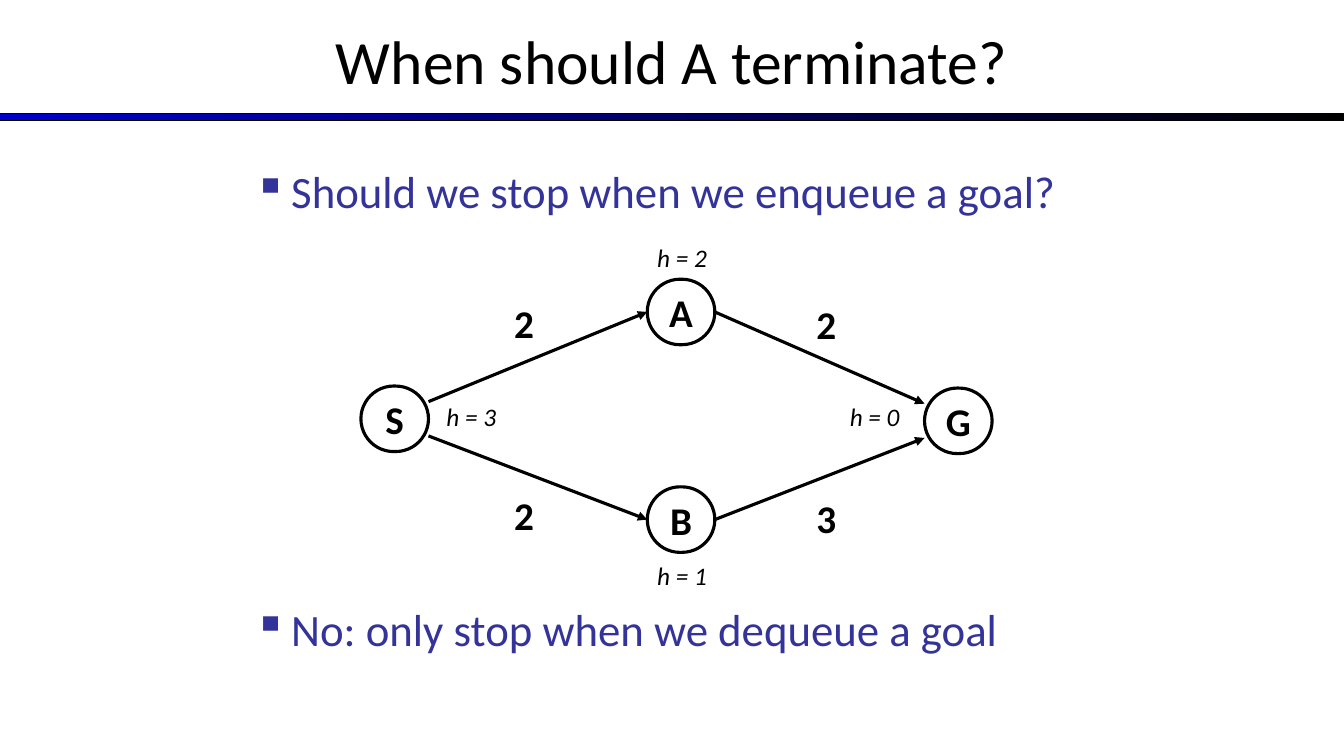
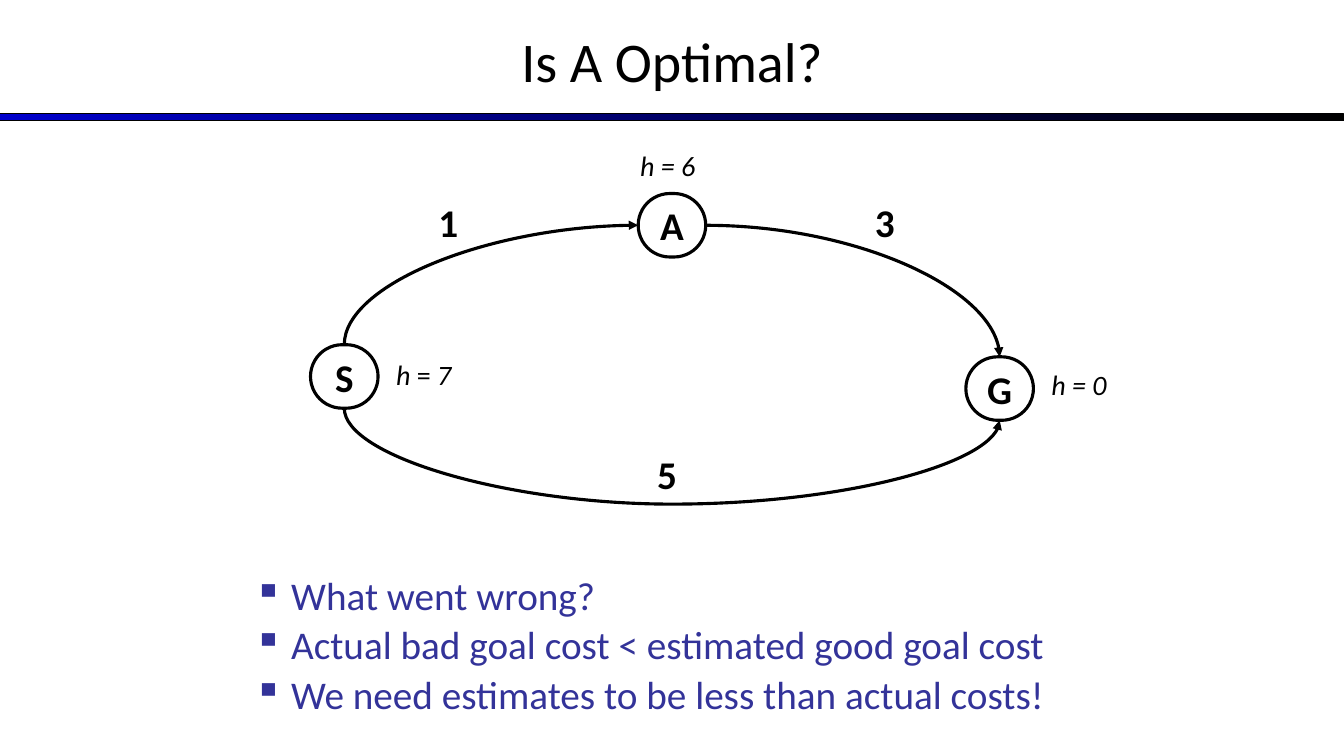
from dataclasses import dataclass

from lxml import etree
from pptx import Presentation
from pptx.dml.color import RGBColor
from pptx.enum import shapes, text
from pptx.oxml.ns import qn
from pptx.util import Inches, Pt


@dataclass(frozen=True)
class Theme:
    font: str = "Calibri"
    ink: str = "000000"
    bullet: str = "333399"
    band: str = "0000CC"
    node_size: int = 28
    cost_size: int = 28
    line: float = 2.25
    node_width: float = 0.67


THEME = Theme()
TOP, LEFT, BOTTOM, RIGHT = range(4)  # connection sites of a node
PORT_SHIFT = 0.17  # straight edges meet S and G this far from the middle

TERMINATE = {
    "title": ("When should A terminate?", 44),
    "bullets": {
        "at": (2.42, 1.58, 10.64, 5.0), "size": 32, "gap": 274,
        "lines": ["Should we stop when we enqueue a goal?",
                  "No: only stop when we dequeue a goal"],
    },
    "node_height": 0.65,
    "nodes": {"S": (3.58, 3.83), "B": (6.42, 4.83),
              "A": (6.42, 2.77), "G": (9.17, 3.85)},
    # from, to, shift at start, shift at end
    "straight": [("S", "A", -PORT_SHIFT, 0), ("A", "G", 0, -PORT_SHIFT),
                 ("S", "B", PORT_SHIFT, 0), ("B", "G", 0, PORT_SHIFT)],
    "costs": [("2", 5, 2.92), ("2", 8, 2.93), ("2", 5, 4.83), ("3", 8, 4.85)],
    "estimate_size": 18,
    "estimates": [("h = 1", 6.42, 5.51), ("h = 2", 6.42, 2.35),
                  ("h = 0", 8.33, 3.93), ("h = 3", 4.33, 3.93)],
}

OPTIMAL = {
    "title": ("Is A Optimal?", 40),
    "bullets": {
        "at": (2.42, 5.67, 10.47, 1.6), "size": 28, "gap": 5, "spacing": 0.9,
        "lines": ["What went wrong?",
                  "Actual bad goal cost < estimated good goal cost",
                  "We need estimates to be less than actual costs!"],
    },
    "node_height": 0.63,
    "nodes": {"A": (6.33, 1.92), "G": (9.58, 3.54), "S": (3.08, 3.42)},
    # from, site, to, site, preset, turn, flips, bend
    "curved": [
        ("S", BOTTOM, "G", BOTTOM, "curvedConnector3", 270, "H", 792300),
        ("S", TOP, "A", LEFT, "curvedConnector2", 90, "HV", None),
        ("A", RIGHT, "G", TOP, "curvedConnector2", 0, "", None),
    ],
    "costs": [("1", 4.25, 1.92), ("3", 8.58, 1.92), ("5", 6.42, 4.42)],
    "estimate_size": 20,
    "estimates": [("h = 6", 6.25, 1.42), ("h = 0", 10.33, 3.6),
                  ([("h", True), (" = ", False), ("7", True)], 3.83, 3.5)],
}


def color(value):
    return RGBColor.from_string(value)


def write(para, content, *, size, ink=THEME.ink, bold=False, italic=False,
          align=None):
    """Fill a paragraph from a string or from (string, italic) pairs."""
    para.alignment = align
    spans = [(content, italic)] if isinstance(content, str) else content
    for words, slanted in spans:
        span = para.add_run()
        span.text = words
        font = span.font
        font.name, font.size = THEME.font, Pt(size)
        font.bold, font.italic = bold, slanted
        font.color.rgb = color(ink)


def add_text(page, content, at, *, anchor=text.MSO_ANCHOR.TOP, **style):
    box = page.shapes.add_textbox(*map(Inches, at))
    frame = box.text_frame
    frame.word_wrap = True
    frame.vertical_anchor = anchor
    write(frame.paragraphs[0], content, **style)


def add_header(page, title, size):
    band = page.shapes.add_shape(shapes.MSO_SHAPE.RECTANGLE, 0, Inches(1.13),
                                 Inches(13.33), Inches(0.07))
    band.shadow.inherit = False
    band.fill.gradient()
    band.fill.gradient_angle = 0
    for stop, shade in zip(band.fill.gradient_stops, (THEME.band, THEME.ink)):
        stop.color.rgb = color(shade)
    band.line.color.rgb = color(THEME.ink)
    band.line.width = Pt(0.75)
    add_text(page, title, (0, -0.03, 13.33, 1.25), size=size,
             anchor=text.MSO_ANCHOR.MIDDLE, align=text.PP_ALIGN.CENTER)


def add_bullets(page, at, lines, size, gap, spacing=1.0):
    frame = page.shapes.add_textbox(*map(Inches, at)).text_frame
    frame.word_wrap = True
    for index, line in enumerate(lines):
        para = frame.add_paragraph() if index else frame.paragraphs[0]
        props = para._p.get_or_add_pPr()
        props.set("marL", str(Inches(0.37)))
        props.set("indent", str(-Inches(0.37)))
        tint = etree.SubElement(props, qn("a:buClr"))
        etree.SubElement(tint, qn("a:srgbClr"), val=THEME.bullet)
        etree.SubElement(props, qn("a:buChar"), char="▪")
        para.line_spacing = spacing
        para.space_before = Pt(gap if index else 0)
        write(para, line, size=size, ink=THEME.bullet)


def add_node(page, name, left, top, height):
    node = page.shapes.add_shape(
        shapes.MSO_SHAPE.ROUNDED_RECTANGLE, Inches(left), Inches(top),
        Inches(THEME.node_width), Inches(height))
    node.adjustments[0] = 0.5
    node.shadow.inherit = False
    node.fill.background()
    node.line.color.rgb = color(THEME.ink)
    node.line.width = Pt(THEME.line)
    frame = node.text_frame
    frame.word_wrap = False
    frame.vertical_anchor = text.MSO_ANCHOR.MIDDLE
    write(frame.paragraphs[0], name, size=THEME.node_size, bold=True,
          align=text.PP_ALIGN.CENTER)
    return node


def add_arrow(page, kind, *ends):
    arrow = page.shapes.add_connector(kind, *ends)
    arrow.line.color.rgb = color(THEME.ink)
    arrow.line.width = Pt(THEME.line)
    props = arrow._element.spPr
    etree.SubElement(props.find(qn("a:ln")), qn("a:tailEnd"), type="triangle")
    etree.SubElement(props, qn("a:effectLst"))
    return arrow


def add_straight(page, start, end, start_shift, end_shift):
    add_arrow(page, shapes.MSO_CONNECTOR.STRAIGHT,
              start.left + start.width,
              start.top + start.height // 2 + Inches(start_shift),
              end.left,
              end.top + end.height // 2 + Inches(end_shift))


def add_curve(page, start, start_site, end, end_site, preset, turn, flips, bend):
    """Glue a curve to two nodes, then turn its frame to leave each node squarely."""
    curve = add_arrow(page, shapes.MSO_CONNECTOR.CURVE, 0, 0, 0, 0)
    curve.begin_connect(start, start_site)
    curve.end_connect(end, end_site)
    if turn % 180:
        width, height = curve.width, curve.height
        curve.left += (width - height) // 2
        curve.top += (height - width) // 2
        curve.width, curve.height = height, width
    props = curve._element.spPr
    frame = props.find(qn("a:xfrm"))
    frame.set("rot", str(turn * 60000))
    for axis in "HV":
        frame.set("flip" + axis, str(int(axis in flips)))
    outline = props.find(qn("a:prstGeom"))
    outline.set("prst", preset)
    if bend is not None:
        guides = outline.find(qn("a:avLst"))
        if guides is None:
            guides = etree.SubElement(outline, qn("a:avLst"))
        etree.SubElement(guides, qn("a:gd"), name="adj1", fmla=f"val {bend}")


def add_graph_page(deck, content):
    page = deck.slides.add_slide(deck.slide_layouts[6])
    add_header(page, *content["title"])
    add_bullets(page, **content["bullets"])
    nodes = {name: add_node(page, name, *place, content["node_height"])
             for name, place in content["nodes"].items()}
    for start, end, *shifts in content.get("straight", []):
        add_straight(page, nodes[start], nodes[end], *shifts)
    for start, start_site, end, *rest in content.get("curved", []):
        add_curve(page, nodes[start], start_site, nodes[end], *rest)
    for cost, left, top in content["costs"]:
        add_text(page, cost, (left, top, 0.5, 0.57),
                 size=THEME.cost_size, bold=True, align=text.PP_ALIGN.LEFT)
    for estimate, left, top in content["estimates"]:
        add_text(page, estimate, (left, top, 1, 0.44),
                 size=content["estimate_size"], italic=True)


def main():
    deck = Presentation()
    deck.slide_width, deck.slide_height = Inches(13.33), Inches(7.5)
    for content in (TERMINATE, OPTIMAL):
        add_graph_page(deck, content)
    deck.save("out.pptx")


if __name__ == "__main__":
    main()
